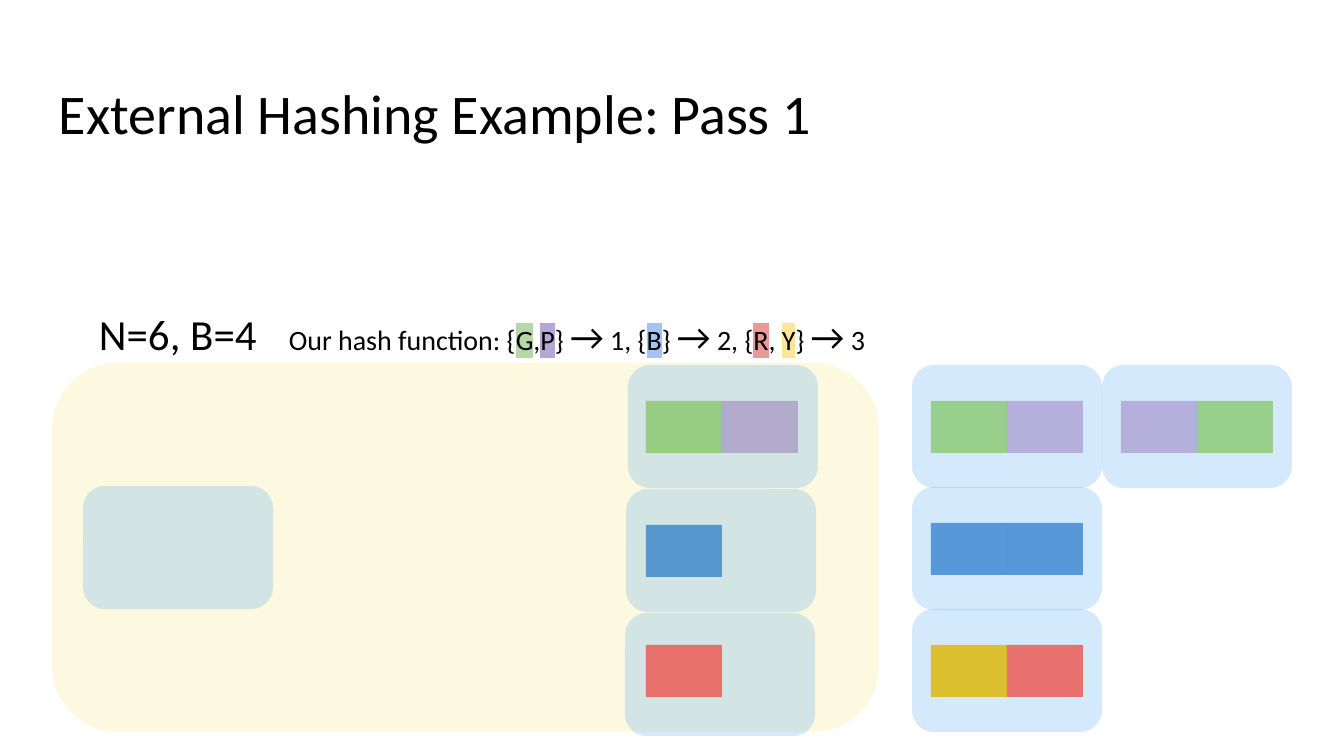
from lxml.etree import SubElement
from pptx import Presentation
from pptx.dml.color import RGBColor
from pptx.enum.shapes import MSO_SHAPE
from pptx.enum.text import MSO_ANCHOR, PP_ALIGN
from pptx.oxml.ns import qn
from pptx.util import Emu, Pt

SCALE = 914400 / 134.4  # EMU per px
FONT = "Calibri"

BLACK = RGBColor(0x00, 0x00, 0x00)
MEMORY = RGBColor(0xF5, 0xD3, 0x28)
PAGE = RGBColor(0x51, 0xA7, 0xF9)
GREEN = RGBColor(0x70, 0xBF, 0x41)
PURPLE = RGBColor(0x77, 0x3F, 0x9B)
BLUE = RGBColor(0x03, 0x65, 0xC0)
RED = RGBColor(0xEC, 0x5D, 0x57)
YELLOW = RGBColor(0xDC, 0xBD, 0x23)
MARK_G = RGBColor(0xB6, 0xD7, 0xA8)
MARK_P = RGBColor(0xB4, 0xA7, 0xD6)
MARK_B = RGBColor(0xA4, 0xC2, 0xF4)
MARK_R = RGBColor(0xEA, 0x99, 0x99)
MARK_Y = RGBColor(0xFF, 0xE5, 0x99)

# Record letter -> colour and opacity in percent
RECORDS = {"G": (GREEN, 60), "P": (PURPLE, 34), "B": (BLUE, 60),
           "R": (RED, 86), "Y": (YELLOW, 94)}
PAGE_W, PAGE_H = 190, 123
RECORD_W, RECORD_H = 76, 52


def px(n):
    return Emu(round(n * SCALE))


def add_box(s, box, color, alpha, radius=0):
    kind = MSO_SHAPE.ROUNDED_RECTANGLE if radius else MSO_SHAPE.RECTANGLE
    sp = s.shapes.add_shape(kind, *map(px, box))
    if radius:
        sp.adjustments[0] = radius / min(box[2:])
    sp.shadow.inherit = False
    sp.line.fill.background()
    sp.fill.solid()
    sp.fill.fore_color.rgb = color
    clr = sp.fill._xPr.find(qn("a:solidFill"))[0]
    SubElement(clr, qn("a:alpha"), val=str(alpha * 1000))


def add_text(s, box, text, size=15, inset=0, align=PP_ALIGN.LEFT,
             anchor=MSO_ANCHOR.TOP, spacing=None):
    """text is a string or a list of (text, size, highlight) runs."""
    tf = s.shapes.add_textbox(*map(px, box)).text_frame
    tf.word_wrap = True
    tf.vertical_anchor = anchor
    tf.margin_left = tf.margin_right = px(inset)
    tf.margin_top = tf.margin_bottom = px(inset)
    p = tf.paragraphs[0]
    p.alignment = align
    p.line_spacing = spacing
    for words, run_size, mark in [(text, size, None)] if isinstance(text, str) else text:
        r = p.add_run()
        r.text = words
        r.font.size = Pt(run_size)
        r.font.color.rgb = BLACK
        if mark is not None:
            highlight = SubElement(r.font._element, qn("a:highlight"))
            SubElement(highlight, qn("a:srgbClr"), val=str(mark))
        r.font.name = FONT


def add_page(s, left, top, records="", dx=19, dy=36):
    """A page with its records side by side, starting at (dx, dy)."""
    add_box(s, (left, top, PAGE_W, PAGE_H), PAGE, 24, radius=22)
    for i, letter in enumerate(records):
        add_box(s, (left + dx + i * RECORD_W, top + dy, RECORD_W, RECORD_H),
                *RECORDS[letter])


def add_disk(s, left, top):
    """Partitions on disk: one row of pages for each hash value."""
    for row, pages in enumerate([["GP", "PG"], ["BB"], ["YR"]]):
        for col, records in enumerate(pages):
            add_page(s, left + col * PAGE_W, top + row * 122, records)


def add_memory(s, left, top, width, height):
    """Main memory: an input buffer and three output buffers."""
    add_box(s, (left, top, width, height), MEMORY, 14, radius=66)
    add_page(s, left + 31, top + 123)
    buffers = [("GP", 576, 2, 36), ("B", 574, 126, 36), ("R", 573, 250, 32)]
    for records, x, y, dy in buffers:
        add_page(s, left + x, top + y, records, dx=594 - x, dy=dy)


def add_hash_function(s, box):
    groups = [("Our hash function: {", [("G", MARK_G), (",", None), ("P", MARK_P)]),
              (" 1, {", [("B", MARK_B)]),
              (" 2, {", [("R", MARK_R), (", ", None), ("Y", MARK_Y)])]
    runs = []
    for lead, letters in groups:
        runs.append((lead, 15, None))
        runs += [(words, 15, mark) for words, mark in letters]
        runs += [("} ", 15, None), ("→", 20, None)]
    runs.append((" 3", 15, None))
    add_text(s, box, runs, align=PP_ALIGN.CENTER, anchor=MSO_ANCHOR.MIDDLE,
             spacing=1.01)


def main():
    prs = Presentation()
    prs.slide_width, prs.slide_height = px(1344), px(756)
    s = prs.slides.add_slide(prs.slide_layouts[6])

    # Title and parameters
    add_text(s, (46, 66, 1253, 85), "External Hashing Example: Pass 1",
             size=30, inset=13)
    add_text(s, (99, 308, 176, 52), "N=6, B=4", size=23)
    add_hash_function(s, (275, 305, 604, 60))

    # Memory on the left, disk on the right
    add_disk(s, 912, 365)
    add_memory(s, 52, 363, 827, 369)

    prs.save("out.pptx")


if __name__ == "__main__":
    main()
